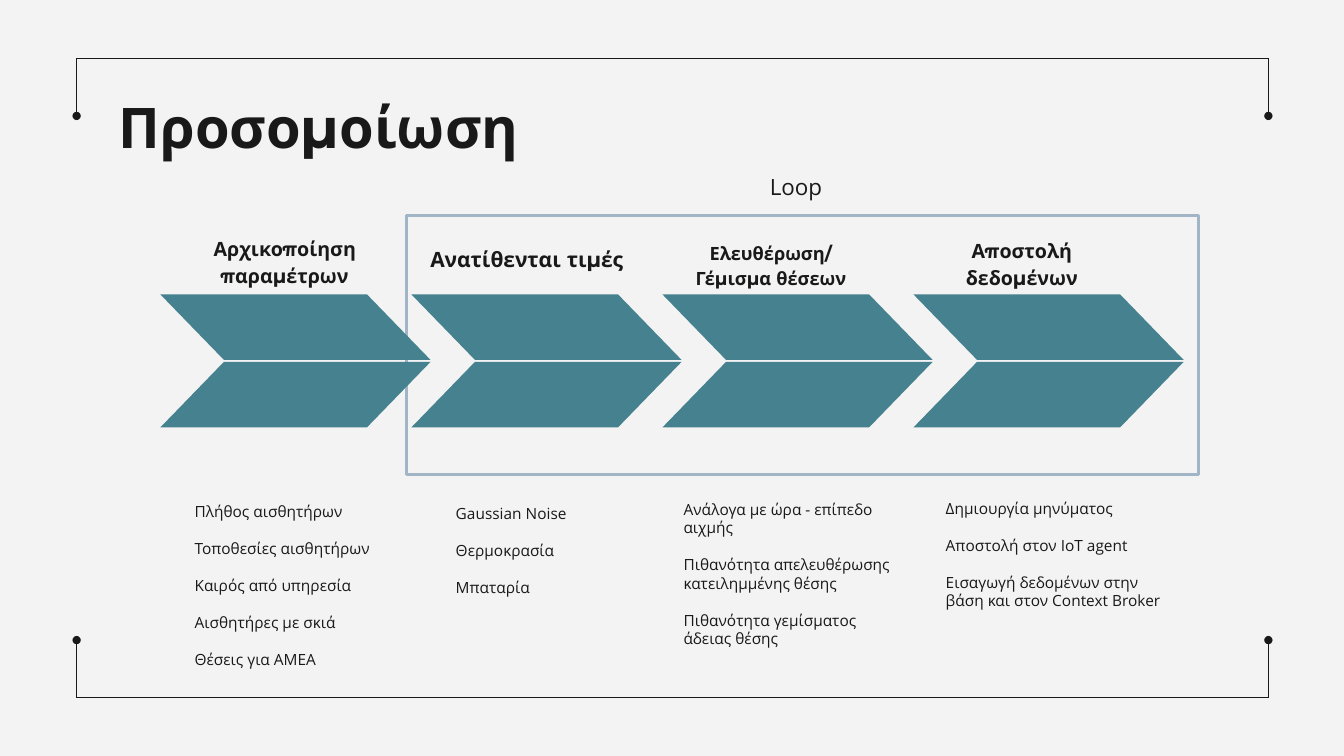
from dataclasses import dataclass

from lxml.etree import SubElement
from pptx import Presentation
from pptx.dml.color import RGBColor
from pptx.enum.shapes import MSO_CONNECTOR, MSO_SHAPE
from pptx.enum.text import MSO_ANCHOR, PP_ALIGN
from pptx.oxml.ns import qn
from pptx.util import Inches, Pt

TITLE = "Προσομοίωση"
LOOP = "Loop"
# heading, its size and place (left, top); notes and their box (left, top, width, height)
STEPS = [
    ("Αρχικοποίηση παραμέτρων", 14, (1.73, 2.33),
     ["Πλήθος αισθητήρων", "Τοποθεσίες αισθητήρων", "Καιρός από υπηρεσία",
      "Αισθητήρες με σκιά", "Θέσεις για ΑΜΕΑ"], (1.8, 4.85, 2.25, 1.82)),
    ("Ανατίθενται τιμές", 15, (4.13, 2.18),
     ["Gaussian Noise", "Θερμοκρασία", "Μπαταρία"], (4.39, 4.87, 2.25, 1.08)),
    ("Ελευθέρωση/Γέμισμα θέσεων", 13, (6.55, 2.35),
     ["Ανάλογα με ώρα - επίπεδο αιχμής",
      "Πιθανότητα απελευθέρωσης κατειλημμένης θέσης",
      "Πιθανότητα γεμίσματος άδειας θέσης"], (6.65, 4.83, 2.48, 1.08)),
    ("Αποστολή δεδομένων", 14, (9.04, 2.35),
     ["Δημιουργία μηνύματος", "Αποστολή στον IoT agent",
      "Εισαγωγή δεδομένων στην βάση και στον Context Broker"],
     (9.25, 4.82, 2.48, 1.08)),
]


@dataclass(frozen=True)
class Theme:
    paper: str = "F3F3F3"
    ink: str = "191919"
    arrow: str = "45818E"
    loop: str = "A1B5C6"
    head_font: str = "Montserrat"
    body_font: str = "Open Sans"
    title_size: float = 40
    loop_size: float = 16
    note_size: float = 11
    note_gap: float = 13.2


T = Theme()
FRAME_LEFT, FRAME_RIGHT, FRAME_TOP, FRAME_BOTTOM = 0.76, 12.58, 0.58, 6.92
BRACKET = 0.57
ARROW_LEFT, ARROW_STEP, ARROW_W, HALF_H = 1.59, 2.49, 2.68, 0.65
HALF_TOPS = (2.92, 3.59)


def rgb(value):
    return RGBColor.from_string(value)


def add_line(s, x1, y1, x2, y2, dot=False):
    """Thin frame line, with a round end if dot is set."""
    c = s.shapes.add_connector(MSO_CONNECTOR.STRAIGHT, *map(Inches, (x1, y1, x2, y2)))
    c.line.color.rgb = rgb(T.ink)
    c.line.width = Pt(0.75)
    if dot:
        SubElement(c._element.spPr.find(qn("a:ln")), qn("a:tailEnd"), type="oval")
    SubElement(c._element.spPr, qn("a:effectLst"))


def add_block(s, kind, box, fill=None, line=None):
    sp = s.shapes.add_shape(kind, *map(Inches, box))
    sp.shadow.inherit = False
    if fill:
        sp.fill.solid()
        sp.fill.fore_color.rgb = rgb(fill)
    else:
        sp.fill.background()
    if line:
        sp.line.color.rgb = rgb(line)
        sp.line.width = Pt(2.25)
    else:
        sp.line.fill.background()
    return sp


def add_text(s, paragraphs, box, size, font, bold=False, align=PP_ALIGN.LEFT,
             anchor=MSO_ANCHOR.TOP, inset=0.13, spacing=None, gap=0):
    tf = s.shapes.add_textbox(*map(Inches, box)).text_frame
    tf.word_wrap = True
    tf.vertical_anchor = anchor
    tf.margin_left = tf.margin_right = tf.margin_top = tf.margin_bottom = Inches(inset)
    for i, text in enumerate(paragraphs):
        p = tf.add_paragraph() if i else tf.paragraphs[0]
        p.alignment = align
        p.space_before = Pt(gap if i else 0)
        if spacing:
            p.line_spacing = spacing
        r = p.add_run()
        r.text = text
        r.font.size = Pt(size)
        r.font.name = font
        r.font.bold = bold
        r.font.color.rgb = rgb(T.ink)


def add_frame(s):
    for y, inward in ((FRAME_TOP, 1), (FRAME_BOTTOM, -1)):
        add_line(s, FRAME_LEFT, y, FRAME_RIGHT, y)
        for x in (FRAME_LEFT, FRAME_RIGHT):
            add_line(s, x, y, x, y + inward * BRACKET, dot=True)


def add_arrow(s, left):
    """Two mirrored parallelograms that meet in a right-pointing arrow."""
    for top, flipped in zip(HALF_TOPS, (True, False)):
        sp = add_block(s, MSO_SHAPE.PARALLELOGRAM, (left, top, ARROW_W, HALF_H), fill=T.arrow)
        sp.adjustments[0] = 0.97
        if flipped:
            sp._element.spPr.find(qn("a:xfrm")).set("flipH", "1")


def main():
    prs = Presentation()
    prs.slide_width, prs.slide_height = Inches(13.33), Inches(7.5)
    s = prs.slides.add_slide(prs.slide_layouts[6])
    s.background.fill.solid()
    s.background.fill.fore_color.rgb = rgb(T.paper)

    add_frame(s)
    add_block(s, MSO_SHAPE.RECTANGLE, (4.03, 2.14, 7.86, 2.57), line=T.loop)
    for i in range(len(STEPS)):
        add_arrow(s, ARROW_LEFT + i * ARROW_STEP)
    for heading, size, place, notes, notes_box in STEPS:
        add_text(s, [heading], (*place, 2.19, 0.65), size, T.head_font, bold=True,
                 align=PP_ALIGN.CENTER, anchor=MSO_ANCHOR.BOTTOM, spacing=1.15)
        add_text(s, notes, notes_box, T.note_size, T.body_font, gap=T.note_gap)
    add_text(s, [TITLE], (1.05, 0.79, 5.28, 0.83), T.title_size, T.head_font, bold=True)
    add_text(s, [LOOP], (6.8, 1.62, 2.19, 0.48), T.loop_size, T.body_font,
             align=PP_ALIGN.CENTER, inset=0.1)
    prs.save("out.pptx")


if __name__ == "__main__":
    main()
